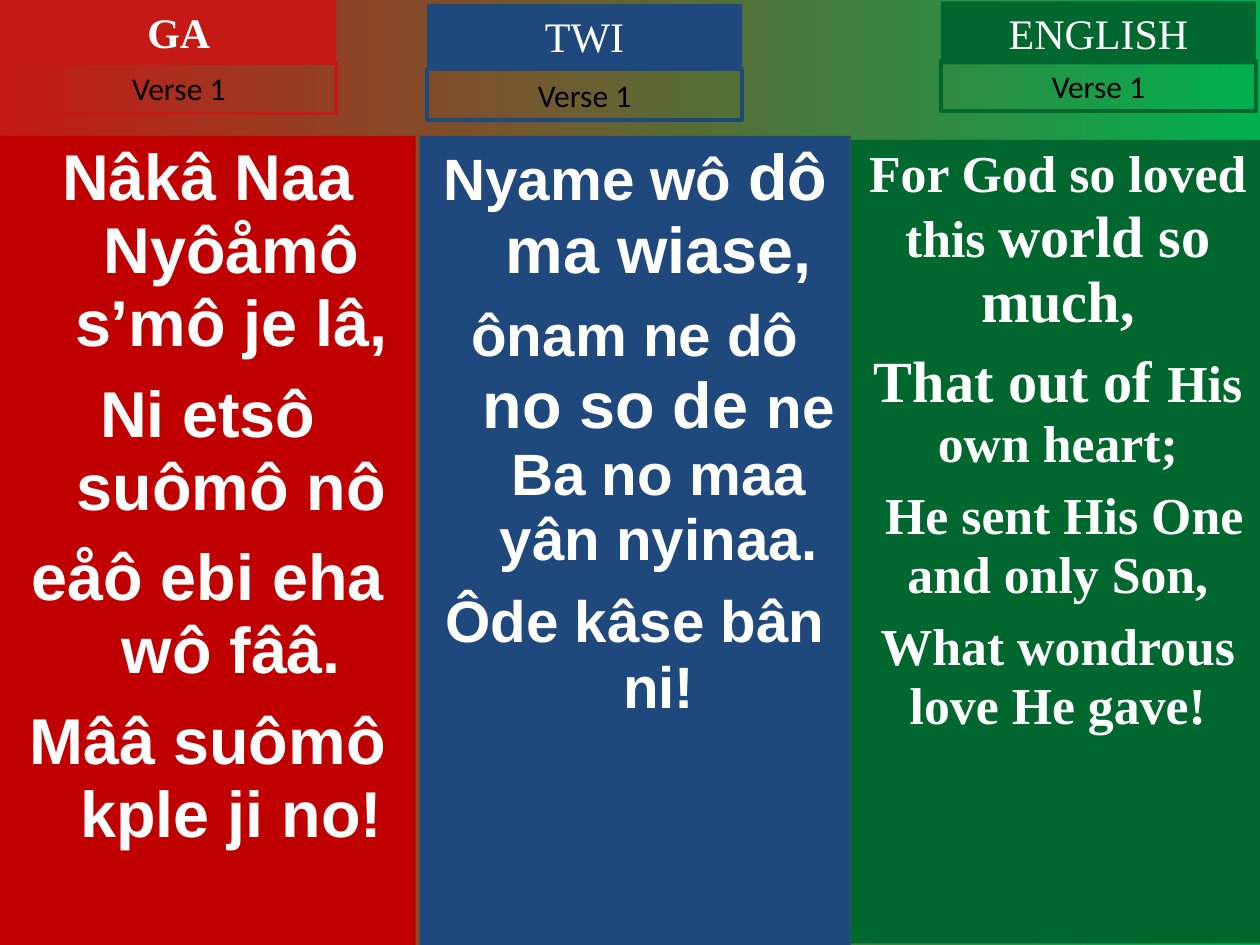
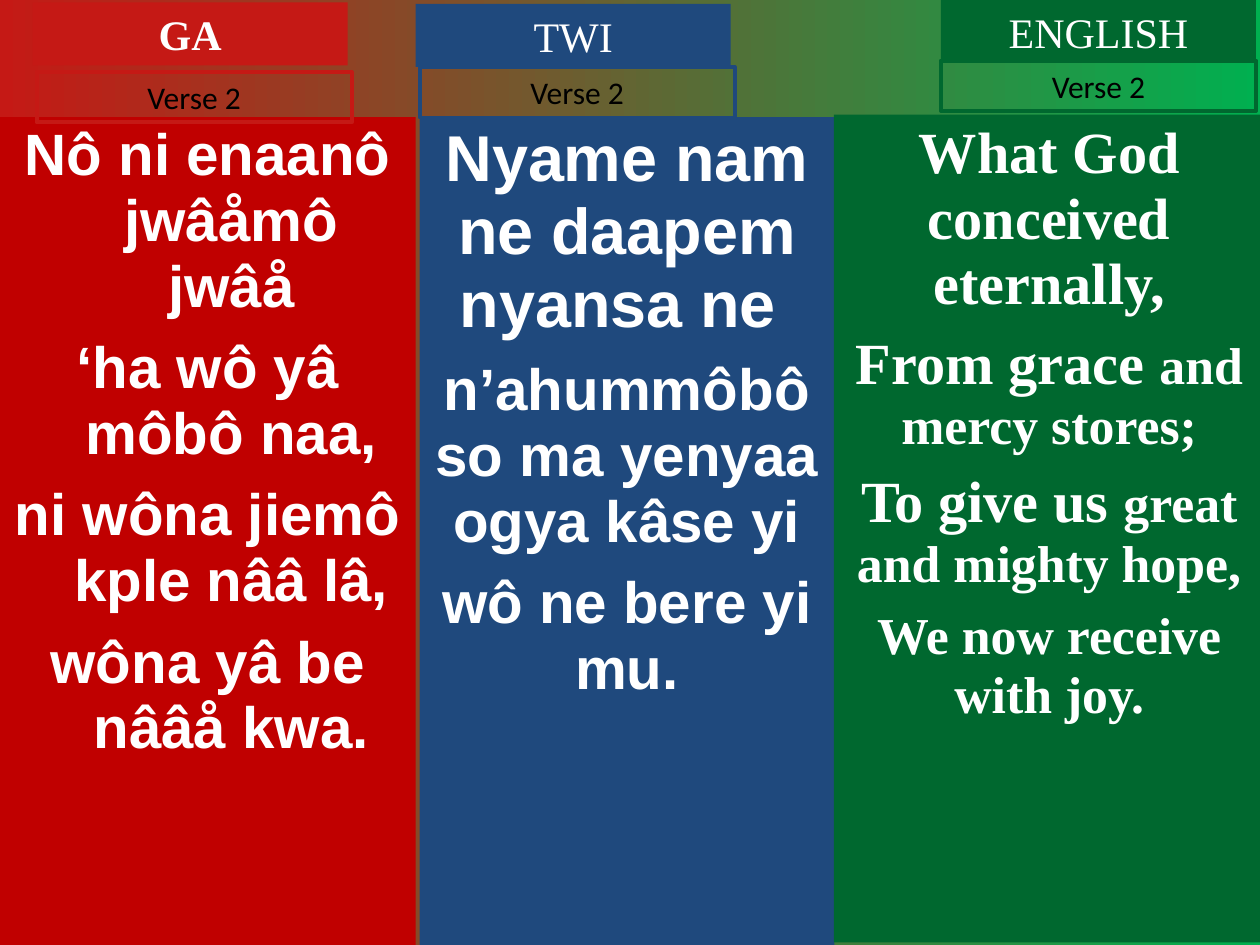
"""Build two hymn slides, each with a verse in Ga, Twi and English."""
from pptx import Presentation
from pptx.dml.color import RGBColor as Rgb
from pptx.enum.shapes import MSO_SHAPE as Shape
from pptx.enum.text import MSO_ANCHOR as Anchor, PP_ALIGN as Align
from pptx.util import Cm, Pt

BIG, MID, LOW = 37, 33.3, 29.6
HEAD = (6.35, 1.27)
LABEL = (6.35, 1.02)
HANG = 0.95

HUES = {
    "left": "C51915", "right": "00B050", "white": "FFFFFF", "black": "000000",
    "red": "C00000", "blue": "1F497D", "green": "00682F",
}

TONGUES = [
    {"name": "GA", "body": "red", "head": "left", "font": "Arial", "bold": True},
    {"name": "TWI", "body": "blue", "head": "blue", "font": "Arial", "bold": False},
    {"name": "ENGLISH", "body": "green", "head": "green",
     "font": "Times New Roman", "bold": False},
]

VERSES = [
    ("Verse 1", [
        {"body": (0, 2.74, 8.38, 16.31), "head": (0.43, 0), "label": (0.43, 1.27),
         "hang": HANG, "lines": [
             [("Nâkâ Naa Nyôåmô s’mô je lâ,", BIG)],
             [("Ni etsô suômô nô", BIG)],
             [("eåô ebi eha wô fââ.", BIG)],
             [("Mââ suômô kple ji no!", BIG)]]},
        {"body": (8.46, 2.74, 8.69, 16.31), "head": (8.61, 0.08), "label": (8.61, 1.4),
         "hang": HANG, "lines": [
             [("Nyame wô ", MID), ("dô ma wiase,", BIG)],
             [("ônam ne dô ", MID), ("no so de ", BIG),
              ("ne Ba no maa yân nyinaa.", MID)],
             [("Ôde kâse bân ni!", MID)]]},
        {"body": (17.15, 2.82, 8.36, 16.2), "head": (18.97, 0.03), "label": (18.97, 1.22),
         "hang": 0, "lines": [
             [("For God so loved this ", LOW), ("world so much,", MID)],
             [("That out of ", MID), ("His own heart;", LOW)],
             [(" He sent His One and only Son,", LOW)],
             [("What wondrous love He gave!", LOW)]]},
    ]),
    ("Verse 2", [
        {"body": (0, 2.36, 8.38, 16.69), "head": (0.66, 0.05), "label": (0.74, 1.45),
         "hang": HANG, "lines": [
             [("Nô ni enaanô jwâåmô jwâå", MID)],
             [("‘ha wô yâ môbô naa,", MID)],
             [("ni wôna jiemô kple nââ lâ,", MID)],
             [("wôna yâ be nââå kwa.", MID)]]},
        {"body": (8.46, 2.36, 8.36, 16.69), "head": (8.38, 0.08), "label": (8.46, 1.35),
         "hang": 0, "lines": [
             [("Nyame nam ne daapem nyansa ne ", BIG)],
             [("n’ahummôbô so ma yenyaa ogya kâse yi", MID)],
             [("wô ne bere yi mu.", MID)]]},
        {"body": (16.81, 2.31, 8.69, 16.69), "head": (18.97, 0), "label": (18.97, 1.22),
         "hang": 0, "lines": [
             [("What God conceived eternally,", MID)],
             [("From grace ", MID), ("and mercy stores;", LOW)],
             [("To give us ", MID), ("great and mighty hope,", LOW)],
             [("We now receive with joy.", LOW)]]},
    ]),
]


def tint(name):
    return Rgb.from_string(HUES[name])


def panel(slide, place, fill=None, line=None):
    """Add a plain rectangle and return its text frame."""
    box = slide.shapes.add_shape(Shape.RECTANGLE, *map(Cm, place))
    box.shadow.inherit = False
    if fill:
        box.fill.solid()
        box.fill.fore_color.rgb = tint(fill)
    else:
        box.fill.background()
    if line:
        box.line.color.rgb = tint(line)
        box.line.width = Pt(2.25)
    else:
        box.line.fill.background()
    frame = box.text_frame
    frame.word_wrap = True
    frame.vertical_anchor = Anchor.TOP
    return frame


def write(frame, lines, font="Calibri", hue="white", bold=False, hang=0, pitch=1):
    """Fill a frame with paragraphs, each a list of (text, size) runs."""
    for at, runs in enumerate(lines):
        para = frame.add_paragraph() if at else frame.paragraphs[0]
        para.alignment = Align.CENTER
        para.line_spacing = pitch
        if at:
            para.space_before = Pt(round(0.27 * min(size for _, size in runs)))
        if hang:
            props = para._p.get_or_add_pPr()
            props.set("marL", str(Cm(hang)))
            props.set("indent", str(-Cm(hang)))
        for text, size in runs:
            run = para.add_run()
            run.text = text
            run.font.name = font
            run.font.size = Pt(size)
            run.font.bold = bold
            run.font.color.rgb = tint(hue)


def column(slide, verse, tongue, part):
    """Draw one language: its verse, its name and its verse label."""
    write(panel(slide, part["body"], fill=tongue["body"]), part["lines"],
          font=tongue["font"], bold=True, hang=part["hang"], pitch=0.94)
    write(panel(slide, part["head"] + HEAD, fill=tongue["head"]),
          [[(tongue["name"], 24)]], font="Times New Roman", bold=tongue["bold"])
    write(panel(slide, part["label"] + LABEL, line=tongue["head"]),
          [[(verse, 18)]], hue="black")


def main():
    deck = Presentation()
    deck.slide_width, deck.slide_height = Cm(25.4), Cm(19.05)
    back = deck.slide_master.background.fill
    back.gradient()
    back.gradient_angle = 0
    for stop, name in zip(back.gradient_stops, ("left", "right")):
        stop.color.rgb = tint(name)
    for verse, parts in VERSES:
        slide = deck.slides.add_slide(deck.slide_layouts[6])
        for tongue, part in zip(TONGUES, parts):
            column(slide, verse, tongue, part)
    deck.save("out.pptx")


if __name__ == "__main__":
    main()
